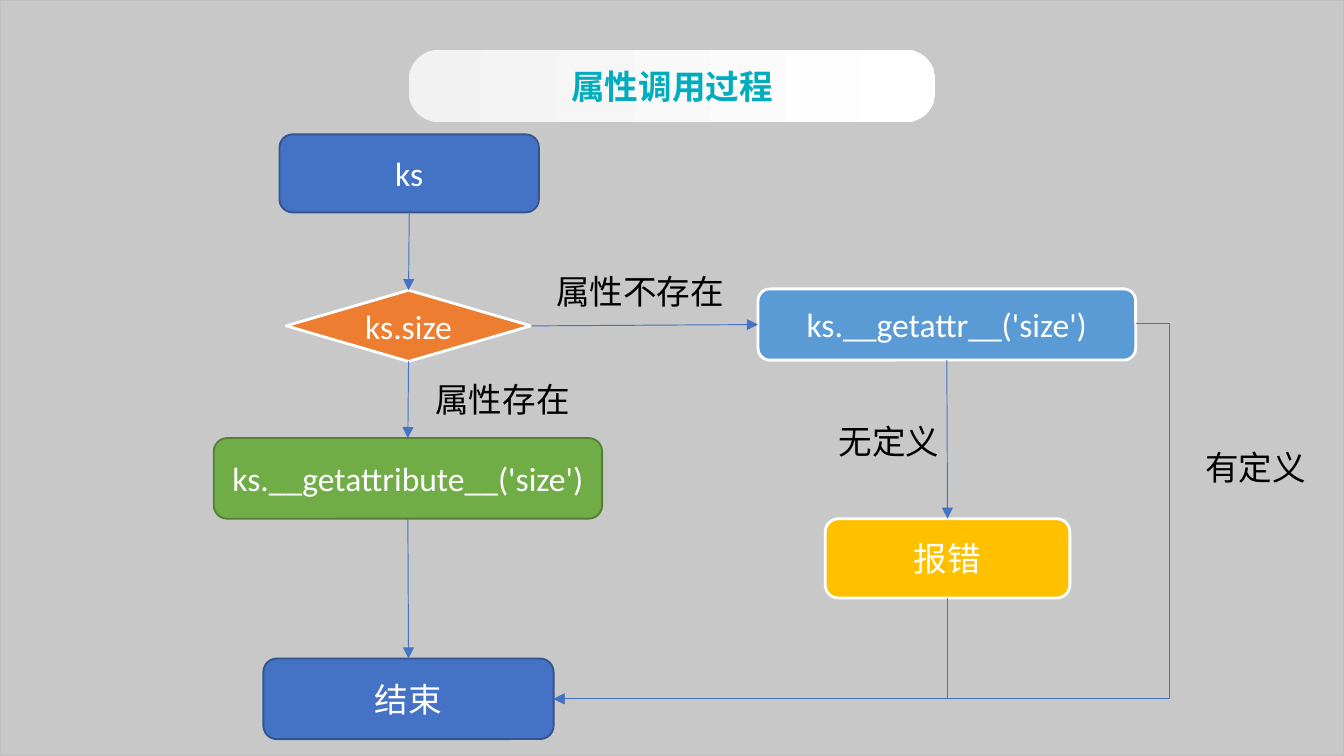
"""Build a flowchart slide on how Python looks up an attribute."""
from dataclasses import dataclass

from lxml import etree
from pptx import Presentation
from pptx.dml.color import RGBColor
from pptx.enum.shapes import MSO_CONNECTOR, MSO_SHAPE
from pptx.enum.text import MSO_ANCHOR, MSO_AUTO_SIZE, PP_ALIGN
from pptx.oxml.ns import qn
from pptx.util import Inches, Pt

RECT = MSO_SHAPE.RECTANGLE
ROUND = MSO_SHAPE.ROUNDED_RECTANGLE
DIAMOND = MSO_SHAPE.DIAMOND
STRAIGHT = MSO_CONNECTOR.STRAIGHT
ELBOW = MSO_CONNECTOR.ELBOW
MIDDLE = MSO_ANCHOR.MIDDLE
CENTER = PP_ALIGN.CENTER
FIT = MSO_AUTO_SIZE.SHAPE_TO_FIT_TEXT
TOP, LEFT, BOTTOM, RIGHT = range(4)
WIDE = 10
HIGH = WIDE * 9 / 16


@dataclass(frozen=True)
class Theme:
    font: str = "Calibri"
    head: str = "Noto Sans CJK SC"
    size: int = 18
    veil: str = "020701"
    frame: str = "BFBFBF"
    pale: str = "F2F2F2"
    white: str = "FFFFFF"
    black: str = "000000"
    teal: str = "01ACBE"
    blue: str = "4472C4"
    navy: str = "325491"
    orange: str = "ED7D31"
    green: str = "70AD47"
    moss: str = "538035"
    sky: str = "5B9BD5"
    gold: str = "FFC000"
    thin: float = 0.5
    edge: float = 1
    bold: float = 1.5


THEME = Theme()


def rgb(code):
    return RGBColor.from_string(code)


def write(shape, text, color, font=THEME.font, bold=False):
    para = shape.text_frame.paragraphs[0]
    run = para.add_run()
    run.text = text
    run.font.name = font
    run.font.size = Pt(THEME.size)
    run.font.bold = bold
    run.font.color.rgb = rgb(color)
    return para


def add_box(slide, kind, place, fill, line, width):
    shape = slide.shapes.add_shape(kind, *map(Inches, place))
    shape.shadow.inherit = False
    shape.fill.solid()
    shape.fill.fore_color.rgb = rgb(fill)
    shape.line.color.rgb = rgb(line)
    shape.line.width = Pt(width)
    return shape


def add_node(slide, kind, place, text, fill, line=THEME.white, width=THEME.bold):
    node = add_box(slide, kind, place, fill, line, width)
    frame = node.text_frame
    frame.word_wrap = kind != DIAMOND
    frame.vertical_anchor = MIDDLE
    write(node, text, THEME.white).alignment = CENTER
    return node


def add_veil(slide):
    veil = add_box(slide, RECT, (0, 0, WIDE, HIGH), THEME.veil, THEME.frame, THEME.edge)
    color = veil.element.spPr.find(qn("a:solidFill"))[0]
    etree.SubElement(color, qn("a:alpha"), val="22000")
    slide.shapes.title.element.addprevious(veil.element)


def add_title(slide, text):
    place = tuple(map(Inches, (3.04, 0.37, 3.92, 0.54)))
    pill = slide.shapes.add_shape(ROUND, *place)
    pill.shadow.inherit = False
    pill.adjustments[0] = 0.42
    pill.line.fill.background()
    pill.fill.gradient()
    pill.fill.gradient_angle = 0
    for stop, color in zip(pill.fill.gradient_stops, (THEME.pale, THEME.white)):
        stop.color.rgb = rgb(color)
    title = slide.shapes.title
    title.element.addprevious(pill.element)
    title.left, title.top, title.width, title.height = place
    title.text_frame.vertical_anchor = MIDDLE
    write(title, text, THEME.teal, THEME.head, True).alignment = CENTER


def add_label(slide, place, text):
    label = slide.shapes.add_textbox(*map(Inches, place))
    label.text_frame.word_wrap = False
    label.text_frame.auto_size = FIT
    write(label, text, THEME.black)


def style(link):
    link.line.color.rgb = rgb(THEME.blue)
    link.line.width = Pt(THEME.thin)
    shape = link.element.spPr
    etree.SubElement(shape.find(qn("a:ln")), qn("a:tailEnd"), type="triangle")
    etree.SubElement(shape, qn("a:effectLst"))


def add_arrow(slide, start, exit, end, entry):
    link = slide.shapes.add_connector(STRAIGHT, 0, 0, 0, 0)
    link.begin_connect(start, exit)
    link.end_connect(end, entry)
    style(link)


def add_elbow(slide, start, end, bend):
    link = slide.shapes.add_connector(ELBOW, *map(Inches, start + end))
    guides = link.element.spPr.find(qn("a:prstGeom")).find(qn("a:avLst"))
    etree.SubElement(guides, qn("a:gd"), name="adj1", fmla=f"val {bend}")
    style(link)


def main():
    deck = Presentation()
    deck.slide_width, deck.slide_height = Inches(WIDE), Inches(HIGH)
    slide = deck.slides.add_slide(deck.slide_layouts[5])
    add_veil(slide)
    add_title(slide, "属性调用过程")

    begin = add_node(slide, ROUND, (2.08, 1, 1.93, 0.58), "ks",
                     THEME.blue, THEME.navy, THEME.edge)
    check = add_node(slide, DIAMOND, (2.13, 2.16, 1.82, 0.53), "ks.size", THEME.orange)
    found = add_node(slide, ROUND, (1.59, 3.26, 2.89, 0.6), "ks.__getattribute__('size')",
                     THEME.green, THEME.moss, THEME.edge)
    hook = add_node(slide, ROUND, (5.64, 2.15, 2.81, 0.53), "ks.__getattr__('size')", THEME.sky)
    error = add_node(slide, ROUND, (6.14, 3.86, 1.82, 0.59), "报错", THEME.gold)
    finish = add_node(slide, ROUND, (1.96, 4.9, 2.16, 0.6), "结束",
                      THEME.blue, THEME.navy, THEME.edge)

    for start, exit, end, entry in (
        (begin, BOTTOM, check, TOP),
        (check, RIGHT, hook, LEFT),
        (check, BOTTOM, found, TOP),
        (found, BOTTOM, finish, TOP),
        (hook, BOTTOM, error, TOP),
    ):
        add_arrow(slide, start, exit, end, entry)

    goal = (4.12, 5.2)
    add_elbow(slide, (7.05, 4.45), goal, 0)
    add_elbow(slide, (8.45, 2.41), goal, -5800)

    for place, text in (
        ((3.14, 2.77, 1.21, 0.4), "属性存在"),
        ((4.04, 1.97, 1.46, 0.4), "属性不存在"),
        ((6.14, 3.08, 0.96, 0.4), "无定义"),
        ((8.87, 3.28, 0.96, 0.4), "有定义"),
    ):
        add_label(slide, place, text)
    deck.save("out.pptx")


main()
